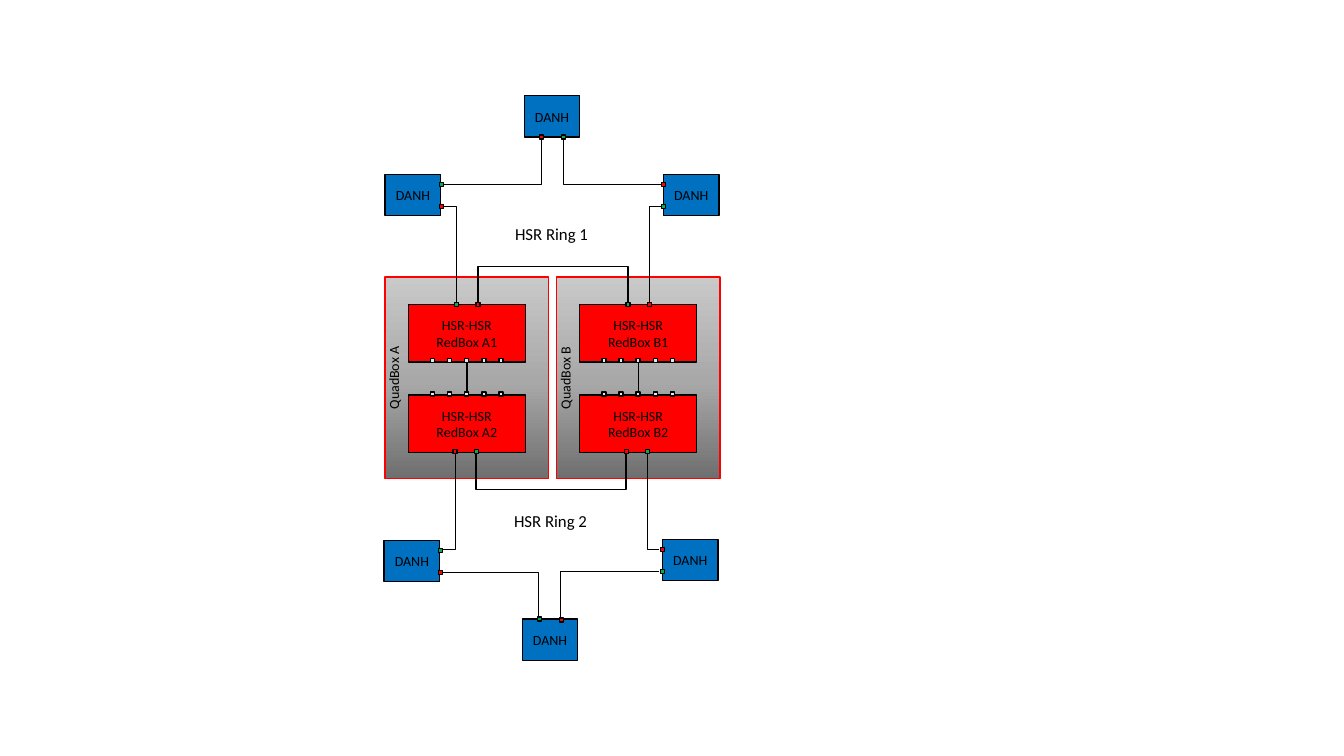
import copy
from dataclasses import dataclass
from typing import NamedTuple

import pptx
import pptx.dml.color
import pptx.enum.shapes
import pptx.enum.text
import pptx.oxml
import pptx.oxml.ns
import pptx.util

# All lengths are columns and rows of a grid with ten cells to the inch.
COLS, ROWS = 133.3, 75
PORT = 0.4
BLACK, RED, GREEN, BLUE, GREY = "000000", "FF0000", "00B050", "0070C0", "E7E6E6"
METAL = ((0, "6F6F6F"), (0.48, "A8A8A8"), (1, "C9C9C9"))
RECT = pptx.enum.shapes.MSO_SHAPE.RECTANGLE
ELBOW = pptx.enum.shapes.MSO_CONNECTOR.ELBOW
STRAIGHT = pptx.enum.shapes.MSO_CONNECTOR.STRAIGHT
ANCHOR = pptx.enum.text.MSO_ANCHOR
ALIGN = pptx.enum.text.PP_ALIGN


class Point(NamedTuple):
    col: float
    row: float


class Wire(NamedTuple):
    """Runs level from start, then upright to end."""
    start: Point
    end: Point


@dataclass
class Danh:
    """An end node; its two ports are offsets from its corner."""
    at: Point
    ports: tuple[Point, Point]
    colours: tuple[str, str]


@dataclass
class QuadBox:
    name: str
    left: float


LEFT_SIDE = (Point(0, 1), Point(0, 3.2))
RIGHT_SIDE = (Point(5.6, 1), Point(5.6, 3.2))
TOP_SIDE = (Point(1.7, 0), Point(3.9, 0.1))
BOTTOM_SIDE = (Point(1.7, 4.1), Point(3.9, 4.1))

DANHS = (
    Danh(Point(52, 9.5), BOTTOM_SIDE, (RED, GREEN)),
    Danh(Point(38.2, 17.3), RIGHT_SIDE, (GREEN, RED)),
    Danh(Point(65.8, 17.3), LEFT_SIDE, (RED, GREEN)),
    Danh(Point(51.8, 61.4), TOP_SIDE, (GREEN, RED)),
    Danh(Point(38.1, 53.6), RIGHT_SIDE, (GREEN, RED)),
    Danh(Point(65.7, 53.5), LEFT_SIDE, (RED, GREEN)),
)
WIRES = (
    Wire(Point(43.9, 18.3), Point(53.7, 13.8)),
    Wire(Point(65.6, 18.3), Point(55.9, 13.8)),
    Wire(Point(43.9, 20.5), Point(45.3, 30)),
    Wire(Point(65.6, 20.5), Point(64.4, 30)),
    Wire(Point(43.8, 54.5), Point(45.2, 45)),
    Wire(Point(65.4, 54.5), Point(64.2, 45)),
    Wire(Point(43.8, 56.8), Point(53.4, 61.2)),
    Wire(Point(65.4, 56.7), Point(55.6, 61.2)),
)
QUADBOXES = (QuadBox("B", 55.2), QuadBox("A", 38.2))


def cells(n: float) -> int:
    return pptx.util.Inches(n / 10)


def rgb(colour: str) -> pptx.dml.color.RGBColor:
    return pptx.dml.color.RGBColor.from_string(colour)


def write(sp, text: str, *, size: float = 10, align=ALIGN.CENTER,
          anchor=ANCHOR.MIDDLE, wrap: bool = True) -> None:
    tf = sp.text_frame
    tf.word_wrap, tf.vertical_anchor = wrap, anchor
    for i, line in enumerate(text.split("\n")):
        p = tf.paragraphs[0] if i == 0 else tf.add_paragraph()
        p.alignment = align
        r = p.add_run()
        r.text = line
        r.font.name, r.font.size = "Calibri", pptx.util.Pt(size)
        r.font.color.rgb = rgb(BLACK)


def box(s, at: Point, width: float, height: float, fill: str, line: str = BLACK):
    sp = s.shapes.add_shape(RECT, *map(cells, (*at, width, height)))
    sp.shadow.inherit = False
    sp.fill.solid()
    sp.fill.fore_color.rgb = rgb(fill)
    sp.line.color.rgb, sp.line.width = rgb(line), pptx.util.Pt(1)
    return sp


def port(s, centre: Point, colour: str):
    corner = Point(centre.col - PORT / 2, centre.row - PORT / 2)
    return box(s, corner, PORT, PORT, colour)


def connector(s, kind, start: Point, end: Point):
    c = s.shapes.add_connector(kind, *map(cells, (*start, *end)))
    c.line.color.rgb, c.line.width = rgb(BLACK), pptx.util.Pt(1)
    c._element.spPr.append(pptx.oxml.parse_xml(
        f"<a:effectLst {pptx.oxml.ns.nsdecls('a')}/>"))
    return c


def corner_wire(s, wire: Wire) -> None:
    c = connector(s, ELBOW, wire.start, wire.end)
    c._element.spPr.find(pptx.oxml.ns.qn("a:prstGeom")).set("prst", "bentConnector2")


def bridge(s, left: Point, length: float, reach: float, turn: int) -> None:
    """U-shaped wire: a turn of 270 degrees opens downwards, 90 upwards."""
    thin = 0.1
    middle = left.col + length / 2
    c = connector(s, ELBOW, Point(middle - thin / 2, left.row - length / 2),
                  Point(middle + thin / 2, left.row + length / 2))
    spPr = c._element.spPr
    spPr.find(pptx.oxml.ns.qn("a:xfrm")).set("rot", str(turn * 60000))
    guides = spPr.find(".//" + pptx.oxml.ns.qn("a:avLst"))
    guides.append(pptx.oxml.parse_xml(
        f'<a:gd {pptx.oxml.ns.nsdecls("a")} name="adj1" '
        f'fmla="val {round(reach / thin * 100000)}"/>'))


def quadbox_frame(s, quad: QuadBox) -> None:
    sp = box(s, Point(quad.left, 27.5), 16.2, 20, GREY, RED)
    sp.fill.gradient()
    sp.fill.gradient_angle = 90
    stops = sp._element.spPr.find(".//" + pptx.oxml.ns.qn("a:gsLst"))
    stops.append(copy.deepcopy(stops[0]))
    for stop, (position, colour) in zip(sp.fill.gradient_stops, METAL):
        stop.position, stop.color.rgb = position, rgb(colour)
    write(sp, f"QuadBox {quad.name}", anchor=ANCHOR.TOP)
    tf = sp.text_frame
    tf.margin_left = 0
    tf._txBody.bodyPr.set("vert", "vert270")


def redboxes(s, quad: QuadBox) -> None:
    """The two linked boxes of a QuadBox with their ports."""
    middles = []
    for number, top, inner, outer, shift in ((1, 30.2, 35.8, 30.2, 0),
                                             (2, 39.2, 39.1, 44.8, -0.15)):
        sp = box(s, Point(quad.left + 2.3, top), 11.6, 5.7, RED)
        write(sp, f"HSR-HSR\nRedBox {quad.name}{number}")
        row = [port(s, Point(quad.left + 4.7 + 1.7 * i, inner), GREY) for i in range(5)]
        middles.append(row[2])
        colours = (GREEN, RED) if number == 1 else (RED, GREEN)
        for i, colour in enumerate(colours):
            port(s, Point(quad.left + 7.1 + 2.1 * i + shift, outer), colour)
    link = connector(s, STRAIGHT, Point(0, 0), Point(1, 1))
    link.begin_connect(middles[0], 2)
    link.end_connect(middles[1], 0)


def danh(s, node: Danh) -> None:
    write(box(s, node.at, 5.5, 4.1, BLUE), "DANH", wrap=False)
    for offset, colour in zip(node.ports, node.colours):
        port(s, Point(node.at.col + offset.col, node.at.row + offset.row), colour)


def ring_label(s, text: str, at: Point) -> None:
    sp = s.shapes.add_textbox(*map(cells, (*at, 9.3, 3)))
    write(sp, text, size=12, align=ALIGN.LEFT, anchor=ANCHOR.TOP, wrap=False)
    sp.text_frame.auto_size = pptx.enum.text.MSO_AUTO_SIZE.SHAPE_TO_FIT_TEXT


def main() -> None:
    prs = pptx.Presentation()
    prs.slide_width, prs.slide_height = cells(COLS), cells(ROWS)
    s = prs.slides.add_slide(prs.slide_layouts[6])
    for quad in QUADBOXES:
        quadbox_frame(s, quad)
    bridge(s, Point(47.2, 45), 14.9, 3.7, 90)
    bridge(s, Point(47.4, 30), 14.9, 3.7, 270)
    for quad in reversed(QUADBOXES):
        redboxes(s, quad)
    for node in DANHS:
        danh(s, node)
    for wire in WIRES:
        corner_wire(s, wire)
    ring_label(s, "HSR Ring 1", Point(50.1, 21.7))
    ring_label(s, "HSR Ring 2", Point(50, 50.2))
    prs.save("out.pptx")


if __name__ == "__main__":
    main()
